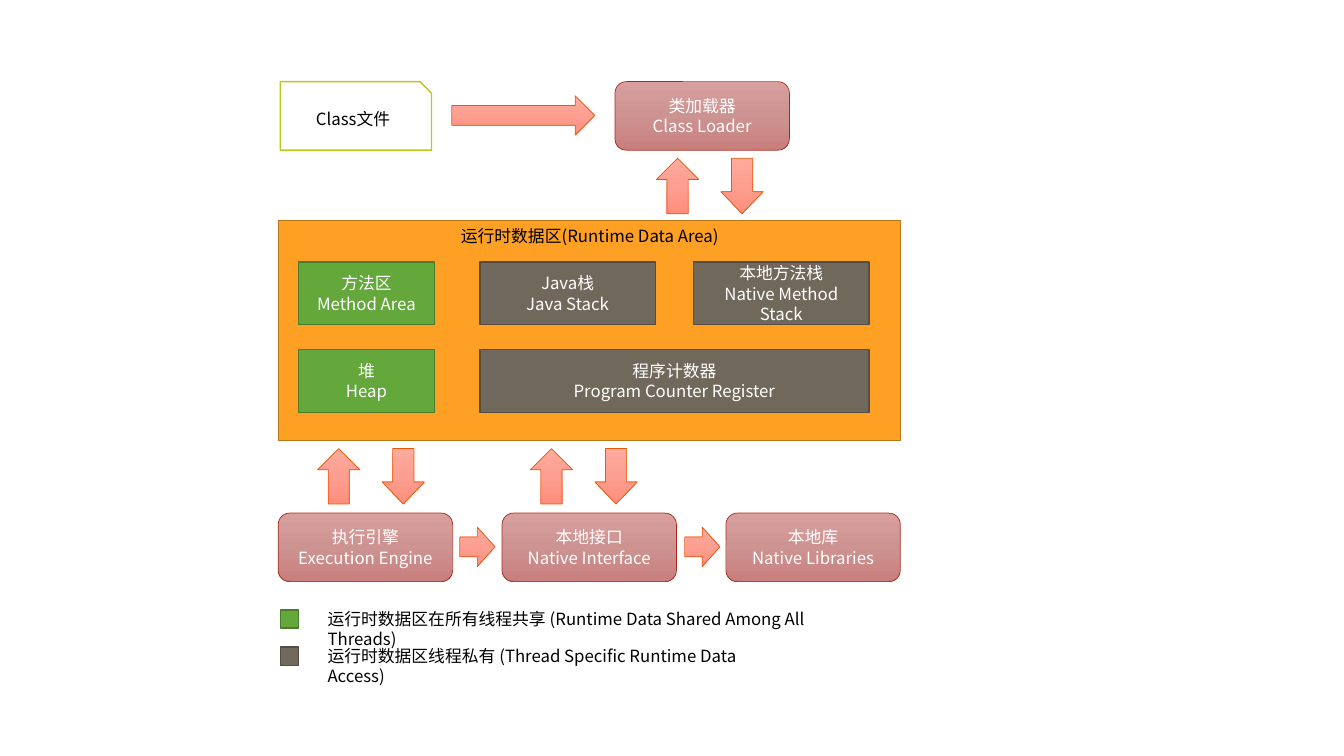
"""Build the slide on the structure of the Java virtual machine."""
from copy import deepcopy

from pptx import Presentation
from pptx.dml.color import RGBColor
from pptx.enum import shapes, text
from pptx.oxml import ns
from pptx.util import Inches, Pt

FONT = "Noto Sans CJK SC"
WHITE = RGBColor(0xFF, 0xFF, 0xFF)
BLACK = RGBColor(0x00, 0x00, 0x00)
ORANGE, ORANGE_EDGE = RGBColor(0xFD, 0xA0, 0x23), RGBColor(0xBB, 0x76, 0x1A)
GREEN, GREEN_EDGE = RGBColor(0x64, 0xA7, 0x3B), RGBColor(0x4A, 0x7C, 0x2C)
BROWN, BROWN_EDGE = RGBColor(0x71, 0x68, 0x5C), RGBColor(0x54, 0x4D, 0x44)
LIME_EDGE = RGBColor(0xB9, 0xCA, 0x1A)
CORAL = [RGBColor(0xFF, 0xAB, 0x9E), RGBColor(0xFC, 0x9F, 0x90), RGBColor(0xFD, 0x8E, 0x7C)]
CORAL_EDGE = RGBColor(0xEB, 0x56, 0x05)
ROSE = [RGBColor(0xD7, 0xA0, 0x9E), RGBColor(0xCC, 0x93, 0x91), RGBColor(0xC9, 0x7F, 0x7D)]
ROSE_EDGE = RGBColor(0xAA, 0x2B, 0x1E)

STYLES = {
    "area": (ORANGE, ORANGE_EDGE, 1),
    "shared": (GREEN, GREEN_EDGE, 1),
    "private": (BROWN, BROWN_EDGE, 1),
    "file": (WHITE, LIME_EDGE, 1),
    "flow": (CORAL, CORAL_EDGE, 0.5),
    "component": (ROSE, ROSE_EDGE, 0.5),
}
KIND = shapes.MSO_SHAPE

prs = Presentation()
prs.slide_width, prs.slide_height = Inches(13.33), Inches(7.5)
slide = prs.slides.add_slide(prs.slide_layouts[6])


def write(frame, lines, color, align):
    """Fill a text frame with one paragraph per line."""
    frame.word_wrap = True
    for index, line in enumerate(lines):
        paragraph = frame.paragraphs[0] if index == 0 else frame.add_paragraph()
        paragraph.alignment = align
        run = paragraph.add_run()
        run.text = line
        for name, value in {"size": Pt(12), "name": FONT}.items():
            setattr(run.font, name, value)
        run.font.color.rgb = color
        fonts = run.font._element
        fonts.append(fonts.makeelement(ns.qn("a:ea"), {"typeface": FONT}))


def draw(kind, style, box, lines=(), color=WHITE):
    """Draw a filled shape with centred lines of text."""
    fill, edge, width = STYLES[style]
    shape = slide.shapes.add_shape(kind, *map(Inches, box))
    shape.shadow.inherit = False
    if isinstance(fill, list):
        shape.fill.gradient()
        shape.fill.gradient_angle = 270
        first = shape._element.spPr.find(".//" + ns.qn("a:gs"))
        first.addnext(deepcopy(first))
        for stop, shade, place in zip(shape.fill.gradient_stops, fill, (0, 0.5, 1)):
            stop.color.rgb = shade
            stop.position = place
    else:
        shape.fill.solid()
        shape.fill.fore_color.rgb = fill
    shape.line.color.rgb = edge
    shape.line.width = Pt(width)
    shape.text_frame.vertical_anchor = text.MSO_ANCHOR.MIDDLE
    write(shape.text_frame, lines, color, text.PP_ALIGN.CENTER)
    return shape


draw(KIND.RECTANGLE, "area", (2.76, 2.19, 6.17, 2.18))
for style, left, top, width, lines in [
    ("shared", 2.96, 2.6, 1.35, ("方法区", "Method Area")),
    ("private", 4.76, 2.6, 1.74, ("Java栈", "Java Stack")),
    ("private", 6.88, 2.6, 1.74, ("本地方法栈", "Native Method Stack")),
    ("shared", 2.96, 3.47, 1.35, ("堆", "Heap")),
    ("private", 4.76, 3.47, 3.86, ("程序计数器", "Program Counter Register")),
]:
    draw(KIND.RECTANGLE, style, (left, top, width, 0.62), lines)

draw(KIND.SNIP_1_RECTANGLE, "file", (2.78, 0.81, 1.5, 0.68), ["Class文件"], BLACK)
for left, top, lines in [
    (6.1, 0.81, ("类加载器", "Class Loader")),
    (2.76, 5.09, ("执行引擎", "Execution Engine")),
    (4.98, 5.09, ("本地接口", "Native Interface")),
    (7.2, 5.09, ("本地库", "Native Libraries")),
]:
    draw(KIND.ROUNDED_RECTANGLE, "component", (left, top, 1.73, 0.68), lines)

for left, top, width in [(4.48, 0.95, 1.42), (4.56, 5.23, 0.35), (6.79, 5.23, 0.35)]:
    draw(KIND.RIGHT_ARROW, "flow", (left, top, width, 0.39))
for left, top in [(6.51, 1.57), (3.15, 4.45), (5.26, 4.45)]:
    draw(KIND.UP_ARROW, "flow", (left, top, 0.42, 0.55))
    down = draw(KIND.DOWN_ARROW, "flow", (left + 0.64, top, 0.42, 0.55))
    down.adjustments[1] = 0.52

for style, top in [("shared", 6.05), ("private", 6.42)]:
    draw(KIND.RECTANGLE, style, (2.78, top, 0.18, 0.18))
for box, caption, align in [
    ((4.13, 2.19, 3.44, 0.3), "运行时数据区(Runtime Data Area)", text.PP_ALIGN.CENTER),
    ((3.15, 5.99, 5.22, 0.3),
     "运行时数据区在所有线程共享 (Runtime Data Shared Among All Threads)", text.PP_ALIGN.LEFT),
    ((3.15, 6.36, 4.45, 0.3),
     "运行时数据区线程私有 (Thread Specific Runtime Data Access)", text.PP_ALIGN.LEFT),
]:
    label = slide.shapes.add_textbox(*map(Inches, box))
    write(label.text_frame, [caption], BLACK, align)

prs.save("out.pptx")
